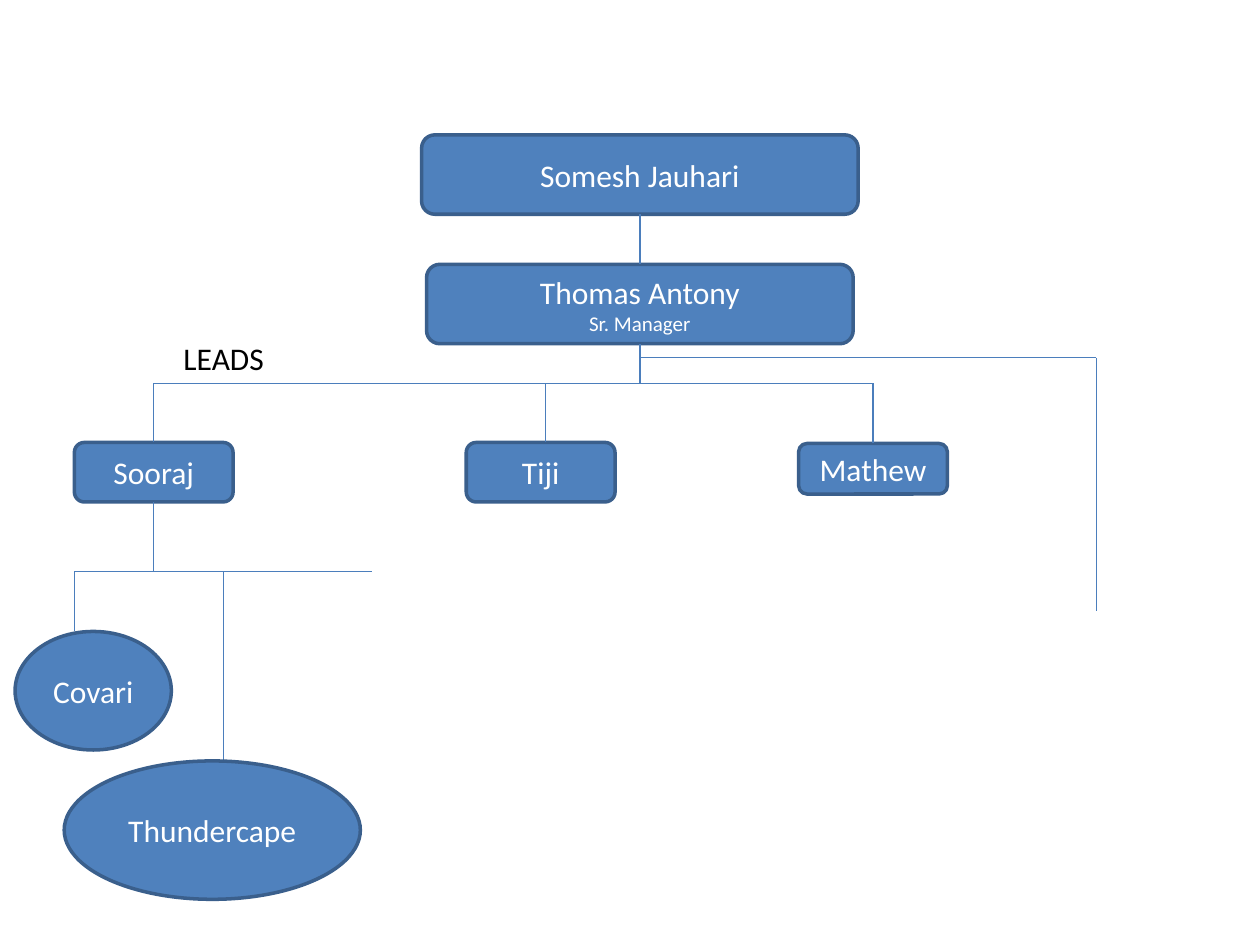
from dataclasses import dataclass

from lxml import etree
from pptx import Presentation
from pptx.dml.color import RGBColor
from pptx.enum.shapes import MSO_CONNECTOR, MSO_SHAPE
from pptx.enum.text import MSO_ANCHOR, PP_ALIGN
from pptx.oxml.ns import qn
from pptx.util import Cm, Pt

ROUNDED = MSO_SHAPE.ROUNDED_RECTANGLE
ELLIPSE = MSO_SHAPE.OVAL
STRAIGHT = MSO_CONNECTOR.STRAIGHT
CENTER, LEFT = PP_ALIGN.CENTER, PP_ALIGN.LEFT
MIDDLE = MSO_ANCHOR.MIDDLE


@dataclass(frozen=True)
class Theme:
    font: str = "Calibri"
    fill: RGBColor = RGBColor(0x4F, 0x81, 0xBD)
    border: RGBColor = RGBColor(0x3A, 0x5F, 0x8C)
    link: RGBColor = RGBColor(0x4B, 0x7E, 0xBC)
    light: RGBColor = RGBColor(0xFF, 0xFF, 0xFF)
    dark: RGBColor = RGBColor(0, 0, 0)
    name_size: float = 18
    role_size: float = 12
    border_width: float = 2
    link_width: float = 0.75


THEME = Theme()

# Shared axes of the chart, in centimetres
TRUNK_X = 12.9
SOORAJ_X, TIJI_X, MATHEW_X = 3.1, 11.0, 17.6
SIDE_X = 22.1
LEADS_Y, SIDE_Y, PROJECTS_Y = 7.73, 7.21, 11.52
FIRST_PROJECT_X, SECOND_PROJECT_X = 1.5, 4.5


def write_text(para, text, size=THEME.name_size, color=THEME.light, align=CENTER):
    para.alignment = align
    span = para.add_run()
    span.text = text
    span.font.name = THEME.font
    span.font.size = Pt(size)
    span.font.color.rgb = color


def add_node(page, kind, center_x, top, width, height, name, role=None):
    box = page.shapes.add_shape(
        kind, Cm(center_x - width / 2), Cm(top), Cm(width), Cm(height))
    box.shadow.inherit = False
    box.fill.solid()
    box.fill.fore_color.rgb = THEME.fill
    box.line.color.rgb = THEME.border
    box.line.width = Pt(THEME.border_width)
    frame = box.text_frame
    frame.word_wrap = True
    frame.vertical_anchor = MIDDLE
    write_text(frame.paragraphs[0], name)
    if role:
        write_text(frame.add_paragraph(), role, size=THEME.role_size)


def add_label(page, left, top, width, height, text):
    box = page.shapes.add_textbox(Cm(left), Cm(top), Cm(width), Cm(height))
    box.text_frame.word_wrap = True
    write_text(box.text_frame.paragraphs[0], text, color=THEME.dark, align=LEFT)


def add_link(page, start_x, start_y, end_x, end_y):
    link = page.shapes.add_connector(
        STRAIGHT, Cm(start_x), Cm(start_y), Cm(end_x), Cm(end_y))
    link.line.color.rgb = THEME.link
    link.line.width = Pt(THEME.link_width)
    etree.SubElement(link._element.spPr, qn("a:effectLst"))


def main():
    deck = Presentation()
    deck.slide_width, deck.slide_height = Cm(25.4), Cm(19.05)
    page = deck.slides.add_slide(deck.slide_layouts[6])

    # Management
    add_node(page, ROUNDED, TRUNK_X, 2.72, 8.8, 1.6, "Somesh Jauhari")
    add_node(page, ROUNDED, TRUNK_X, 5.33, 8.6, 1.6, "Thomas Antony", "Sr. Manager")

    # Leads
    add_label(page, 3.45, 6.7, 3.81, 1.02, "LEADS")
    add_node(page, ROUNDED, SOORAJ_X, 8.92, 3.2, 1.2, "Sooraj")
    add_node(page, ROUNDED, 10.9, 8.92, 3, 1.2, "Tiji")
    add_node(page, ROUNDED, MATHEW_X, 8.94, 3, 1.02, "Mathew")

    # Vertical links: x, top, bottom
    for x, top, bottom in (
        (TRUNK_X, 4.32, 5.33),
        (TRUNK_X, 6.93, LEADS_Y),
        (SOORAJ_X, LEADS_Y, 8.92),
        (TIJI_X, LEADS_Y, 8.92),
        (MATHEW_X, LEADS_Y, 8.94),
        (SIDE_X, SIDE_Y, 12.32),
        (SOORAJ_X, 10.12, PROJECTS_Y),
        (FIRST_PROJECT_X, PROJECTS_Y, 12.73),
        (SECOND_PROJECT_X, PROJECTS_Y, 15.33),
    ):
        add_link(page, x, top, x, bottom)

    # Horizontal links: y, left, right
    for y, left, right in (
        (LEADS_Y, SOORAJ_X, MATHEW_X),
        (SIDE_Y, TRUNK_X, SIDE_X),
        (PROJECTS_Y, FIRST_PROJECT_X, 7.5),
    ):
        add_link(page, left, y, right, y)

    # Projects
    add_node(page, ELLIPSE, 1.88, 12.73, 3.15, 2.39, "Covari")
    add_node(page, ELLIPSE, 4.28, 15.34, 5.97, 2.79, "Thundercape")

    deck.save("out.pptx")


main()
